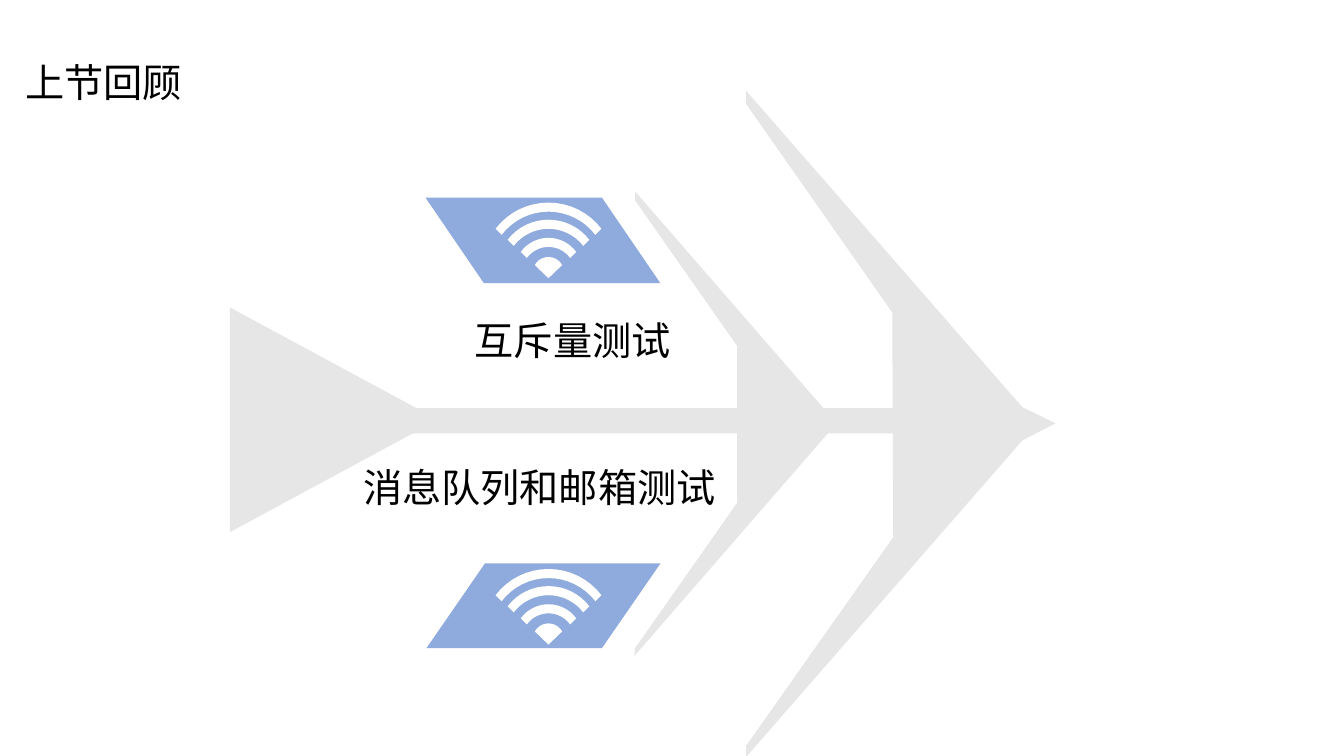
from dataclasses import dataclass
from math import asin, cos, sin

from lxml import etree
from pptx import Presentation
from pptx.dml.color import RGBColor
from pptx.enum.shapes import MSO_SHAPE
from pptx.enum.text import MSO_ANCHOR, PP_ALIGN
from pptx.oxml.ns import qn
from pptx.shapes.base import BaseShape
from pptx.slide import Slide
from pptx.text.text import _Paragraph as Paragraph
from pptx.util import Inches, Pt

RECT = MSO_SHAPE.RECTANGLE
MIDDLE = MSO_ANCHOR.MIDDLE
LEFT, CENTER = PP_ALIGN.LEFT, PP_ALIGN.CENTER

Point = tuple[float, float]
Loop = list[Point]


@dataclass(frozen=True)
class Theme:
    font: str = "Noto Sans CJK SC"
    size: int = 28
    text: str = "000000"
    bone: str = "E7E6E6"
    tile: str = "8FAADC"
    icon: str = "FFFFFF"


@dataclass(frozen=True)
class Form:
    points: Loop
    color: str


@dataclass(frozen=True)
class Label:
    text: str
    left: float
    top: float
    width: float
    height: float


@dataclass(frozen=True)
class Arc:
    half: float
    top: float
    end: float


THEME = Theme()
STEPS = 16

FORMS = [
    Form([(7.4, 0.9), (10.14, 4.04), (10.14, 4.37), (7.4, 7.51), (7.4, 7.4),
          (8.86, 5.33), (8.85, 3.1), (7.4, 1.03)], THEME.bone),
    Form([(6.3, 1.9), (8.21, 4.1), (8.21, 4.3), (6.29, 6.51), (6.3, 6.43),
          (7.31, 4.99), (7.31, 3.43), (6.3, 1.99)], THEME.bone),
    Form([(4.22, 1.96), (5.97, 1.96), (6.55, 2.81), (4.8, 2.81)], THEME.tile),
    Form([(6.55, 5.59), (4.81, 5.59), (4.23, 6.43), (5.97, 6.43)], THEME.tile),
    Form([(2.28, 3.05), (4.15, 4.06), (4.15, 4.27), (2.28, 5.28)], THEME.bone),
    Form([(10.1, 4.02), (10.1, 4.39), (10.47, 4.2)], THEME.bone),
]
LABELS = [
    Label("互斥量测试", 4.01, 3.09, 3.34, 0.92),
    Label("消息队列和邮箱测试", 3.16, 4.55, 4.38, 0.92),
]
FAN = Arc(0.135, 0.21, 0.13)
BANDS = [
    (Arc(0.275, 0.4, 0.26), Arc(0.215, 0.31, 0.2)),
    (Arc(0.405, 0.58, 0.38), Arc(0.345, 0.49, 0.32)),
    (Arc(0.525, 0.75, 0.49), Arc(0.465, 0.66, 0.43)),
]
TIPS = [(5.44, 2.76), (5.44, 6.395)]


def paint(shape: BaseShape, color: str) -> None:
    shape.fill.solid()
    shape.fill.fore_color.rgb = RGBColor.from_string(color)
    shape.line.fill.background()
    shape.shadow.inherit = False


def draw(slide: Slide, loops: list[Loop], color: str) -> None:
    spots = [[(Inches(x), Inches(y)) for x, y in loop] for loop in loops]
    pen = slide.shapes.build_freeform(*spots[0][0], scale=1.0)
    for index, loop in enumerate(spots):
        if index:
            pen.move_to(*loop[0])
        pen.add_line_segments(loop[1:], close=True)
    paint(pen.convert_to_shape(), color)


def trace(arc: Arc, tip: Point) -> Loop:
    drop = arc.top - arc.end
    radius = (arc.half ** 2 + drop ** 2) / (2 * drop)
    sweep = asin(arc.half / radius)
    turns = [sweep * (2 * step / STEPS - 1) for step in range(STEPS + 1)]
    return [(tip[0] + radius * sin(turn),
             tip[1] - arc.top + radius * (1 - cos(turn))) for turn in turns]


def signal(slide: Slide, tip: Point) -> None:
    loops = [trace(FAN, tip) + [tip]]
    loops += [trace(outer, tip) + trace(inner, tip)[::-1]
              for outer, inner in BANDS]
    draw(slide, loops, THEME.icon)


def write(para: Paragraph, text: str, align: PP_ALIGN) -> None:
    para.alignment = align
    run = para.add_run()
    run.text = text
    run.font.size = Pt(THEME.size)
    run.font.color.rgb = RGBColor.from_string(THEME.text)
    run.font.name = THEME.font
    east = etree.SubElement(run._r.get_or_add_rPr(), qn("a:ea"))
    east.set("typeface", THEME.font)


def head(slide: Slide) -> None:
    title = slide.shapes.title
    title.left, title.top = Inches(0.15), Inches(0.34)
    title.width, title.height = Inches(10.18), Inches(1)
    frame = title.text_frame
    frame.vertical_anchor = MIDDLE
    para = frame.paragraphs[0]
    para.line_spacing = 0.9
    para.space_before = Pt(10)
    write(para, "上节回顾", LEFT)


def caption(slide: Slide, label: Label) -> None:
    box = slide.shapes.add_textbox(Inches(label.left), Inches(label.top),
                                   Inches(label.width), Inches(label.height))
    box.text_frame.word_wrap = True
    write(box.text_frame.paragraphs[0], label.text, CENTER)


def main() -> None:
    deck = Presentation()
    deck.slide_width, deck.slide_height = Inches(13.33), Inches(7.5)
    slide = deck.slides.add_slide(deck.slide_layouts.get_by_name("Title Only"))
    head(slide)
    for form in FORMS:
        draw(slide, [form.points], form.color)
    spine = slide.shapes.add_shape(RECT, Inches(2.62), Inches(4.05),
                                   Inches(6.38), Inches(0.25))
    paint(spine, THEME.bone)
    for label in LABELS:
        caption(slide, label)
    for tip in TIPS:
        signal(slide, tip)
    deck.save("out.pptx")


if __name__ == "__main__":
    main()
